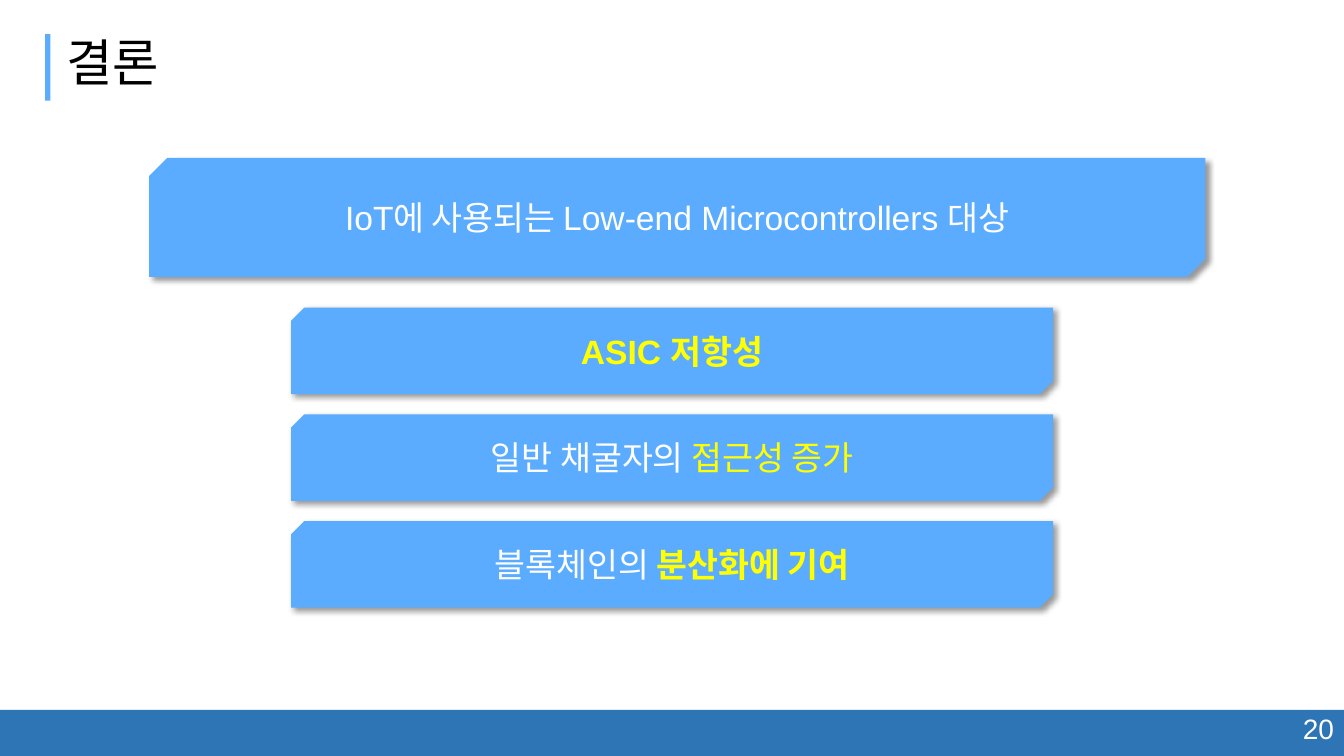
from dataclasses import dataclass

from lxml import etree
from pptx import Presentation
from pptx.dml.color import RGBColor
from pptx.enum.shapes import MSO_SHAPE
from pptx.enum.text import MSO_ANCHOR, PP_ALIGN
from pptx.oxml.ns import qn
from pptx.util import Cm, Pt

RECTANGLE = MSO_SHAPE.RECTANGLE
SNIPPED = MSO_SHAPE.SNIP_2_DIAG_RECTANGLE
MIDDLE = MSO_ANCHOR.MIDDLE
LEFT, CENTER, RIGHT = PP_ALIGN.LEFT, PP_ALIGN.CENTER, PP_ALIGN.RIGHT


@dataclass(frozen=True)
class Theme:
    font: str = "Arial"
    title_size: Pt = Pt(36)
    body_size: Pt = Pt(24)
    number_size: Pt = Pt(20)
    sky: RGBColor = RGBColor(0x5B, 0xAC, 0xFF)
    footer: RGBColor = RGBColor(0x2E, 0x75, 0xB6)
    black: RGBColor = RGBColor(0, 0, 0)
    white: RGBColor = RGBColor(0xFF, 0xFF, 0xFF)
    yellow: RGBColor = RGBColor(0xFF, 0xFF, 0)


theme = Theme()
prs = Presentation()
prs.slide_width, prs.slide_height = Cm(33.87), Cm(19.05)
slide = prs.slides.add_slide(prs.slide_layouts[6])


def add_block(kind, left, top, width, height, color):
    block = slide.shapes.add_shape(kind, Cm(left), Cm(top), Cm(width), Cm(height))
    block.fill.solid()
    block.fill.fore_color.rgb = color
    block.line.fill.background()
    block.shadow.inherit = False
    return block


def write(shape, runs, size, align):
    """Write one line; runs are (text, color, bold)."""
    shape.text_frame.word_wrap = True
    line = shape.text_frame.paragraphs[0]
    line.alignment = align
    line.font.name, line.font.size = theme.font, size
    for text, color, bold in runs:
        run = line.add_run()
        run.text = text
        run.font.color.rgb = color
        run.font.bold = bold
    return line


# Footer band with page number
add_block(RECTANGLE, 0, 17.89, 33.87, 1.16, theme.footer)
page_number = slide.shapes.add_textbox(Cm(23.95), Cm(17.81), Cm(9.92), Cm(1.11))
write(page_number, [("20", theme.white, False)], theme.number_size, RIGHT)

# Title with accent bar
add_block(RECTANGLE, 1.14, 0.86, 0.13, 1.68, theme.sky)
title = slide.shapes.add_textbox(Cm(1.14), Cm(0.58), Cm(31.57), Cm(2.11))
title.text_frame.vertical_anchor = MIDDLE
heading = write(title, [(" 결론", theme.black, False)], theme.title_size, LEFT)
heading.line_spacing = 0.9

# Conclusions: one wide banner, then three evenly spaced points
points = [
    [("ASIC 저항성", theme.yellow, True)],
    [("일반 채굴자의 ", theme.white, False), ("접근성 증가", theme.yellow, False)],
    [("블록체인의 ", theme.white, False), ("분산화에 기여", theme.yellow, True)],
]
banner = [("IoT에 사용되는 Low-end Microcontrollers 대상", theme.white, False)]
conclusions = [(banner, 3.76, 3.98, 26.62, 3.0)]
for i, point in enumerate(points):
    conclusions.append((point, 7.34, 7.75 + 2.69 * i, 19.2, 2.18))

for runs, left, top, width, height in conclusions:
    card = add_block(SNIPPED, left, top, width, height, theme.sky)
    card.adjustments[0], card.adjustments[1] = 0.152, 0
    card.text_frame.vertical_anchor = MIDDLE
    write(card, runs, theme.body_size, CENTER)

    # Soft shadow towards the lower right
    effects = card.element.spPr.find(qn("a:effectLst"))
    shadow = etree.SubElement(effects, qn("a:outerShdw"), blurRad=str(Pt(4)),
                              dist=str(Pt(3)), dir="2700000", algn="tl", rotWithShape="0")
    shade = etree.SubElement(shadow, qn("a:srgbClr"), val=str(theme.black))
    etree.SubElement(shade, qn("a:alpha"), val="40000")

prs.save("out.pptx")
